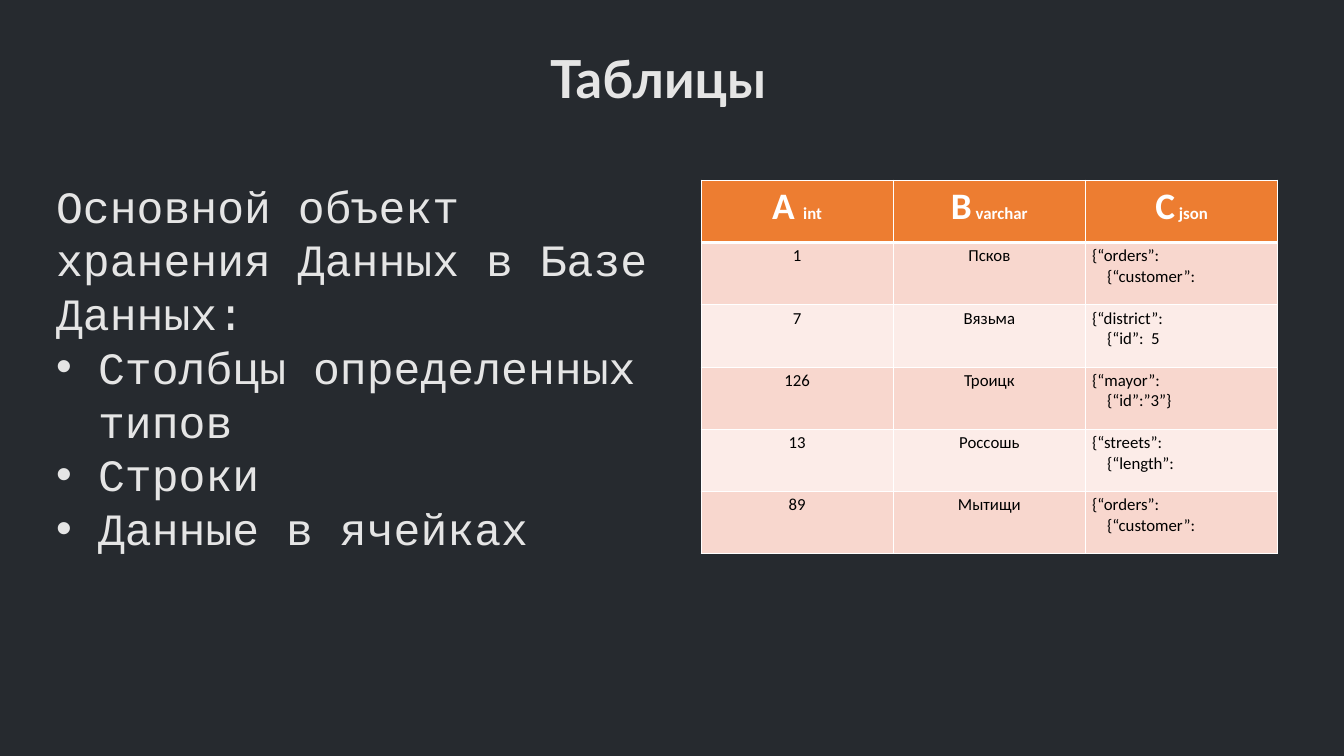
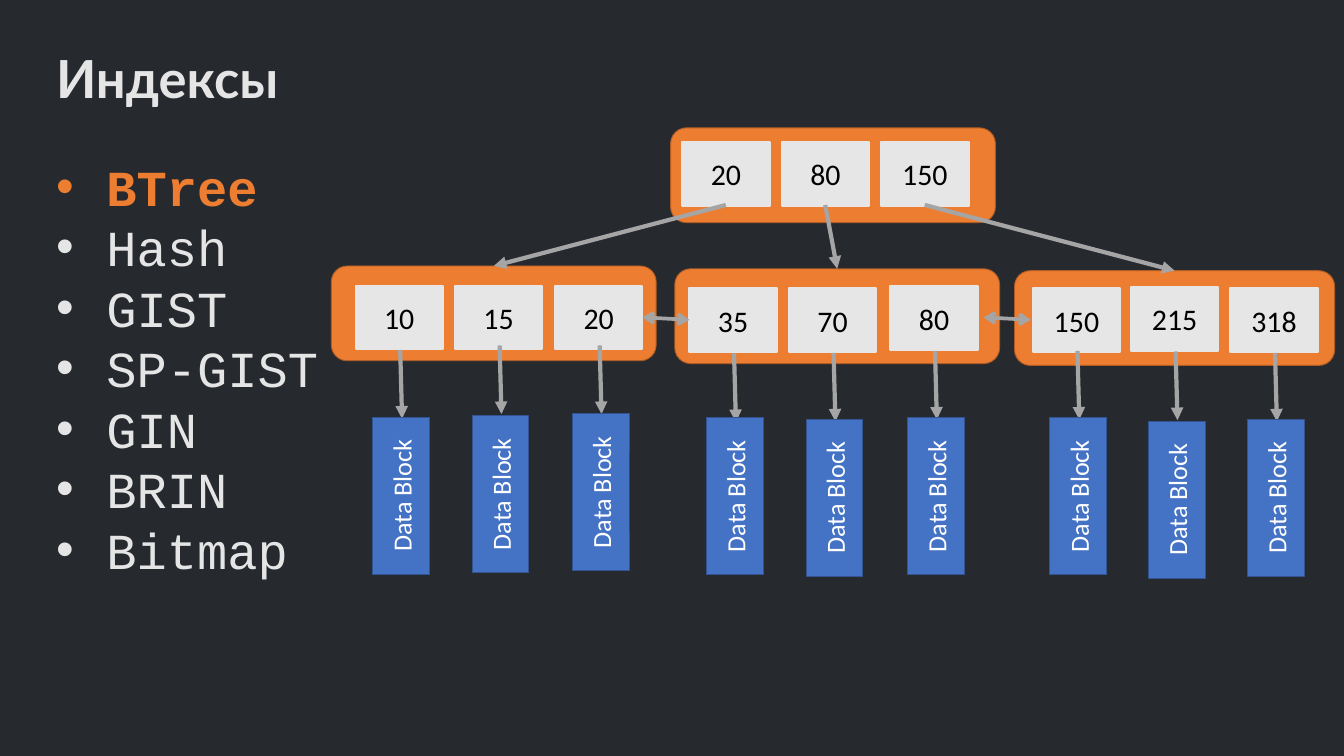
from lxml import etree
from pptx import Presentation
from pptx import util as u
from pptx.dml.color import RGBColor
from pptx.enum import shapes, text
from pptx.oxml.ns import qn

BACK, PALE, ORANGE, RUST = "262A2F", "E5E5E5", "ED7D31", "AF5C24"
KEY, GRAY, BLUE, NAVY = "E7E6E6", "A5A5A5", "4472C4", "325491"
WHITE, BLACK, BANDS = "FFFFFF", "000000", ("F8D7CE", "FCECE8")
LEFT, MID = text.PP_ALIGN.LEFT, text.PP_ALIGN.CENTER
RECT, ROUND = shapes.MSO_SHAPE.RECTANGLE, shapes.MSO_SHAPE.ROUNDED_RECTANGLE
KEY_W, KEY_H, PITCH = 93.6, 68.4, 106.6

HEADS = [("A ", "int"), ("B", " varchar"), ("C", " json")]
ROWS = [
    ("1", "Псков", "{“orders”:", "{“customer”:"),
    ("7", "Вязьма", "{“district”:", "{“id”:  5"),
    ("126", "Троицк", "{“mayor”:", "{“id”:”3”}"),
    ("13", "Россошь", "{“streets”:", "{“length”:"),
    ("89", "Мытищи", "{“orders”:", "{“customer”:"),
]
NODES = [(718.5, 137, 348), (355, 285, 348), (723, 288, 348), (1087, 290, 343)]
ROOT = ["20", "80", "150"]
LEAVES = [
    ("10", 381, 306, 375, 531), ("15", 487.5, 306, 370, 529.5),
    ("20", 594.7, 306, 370, 527.4), ("35", 738.7, 309, 378.7, 531.7),
    ("70", 845.3, 309, 378, 533.2), ("80", 954, 306.7, 376, 531.7),
    ("150", 1106.6, 309, 376, 531.7), ("215", 1211.8, 307.4, 376.6, 535.3),
    ("318", 1318.3, 309, 378, 533.2),
]


def style(item, **fmt):
    """Set each format value on an item."""
    for name, value in fmt.items():
        setattr(item, name, value)


def paint(target, tone):
    """Give a fill or a line a solid colour."""
    fill = getattr(target, "fill", target)
    fill.solid()
    fill.fore_color.rgb = RGBColor.from_string(tone)


def place(item, *box):
    """Move an item to a box in points."""
    style(item, **dict(zip(("left", "top", "width", "height"), map(u.Pt, box))))


def write(par, words, size, tone, font="Calibri", bold=False):
    """Add a run to a paragraph."""
    run = par.add_run()
    run.text = words
    style(run.font, size=u.Pt(size), name=font, bold=bold)
    paint(run.font, tone)


def child(parent, tag, **attrs):
    """Append a drawing element."""
    return etree.SubElement(parent, qn("a:" + tag), attrs)


def indent(par, left, hang=0):
    """Set the indents of a paragraph in points."""
    props = par._p.get_or_add_pPr()
    props.set("marL", str(u.Pt(left)))
    props.set("indent", str(u.Pt(hang)))
    return props


def bare(frame):
    """Clear margins and fitting of a placeholder."""
    style(frame, word_wrap=True, auto_size=text.MSO_AUTO_SIZE.NONE,
          vertical_anchor=text.MSO_ANCHOR.TOP, margin_left=0,
          margin_right=0, margin_top=0, margin_bottom=0)


def page(prs, title, align):
    """Add a slide with its title."""
    slide = prs.slides.add_slide(prs.slide_layouts[1])
    head = slide.shapes.title
    place(head, 60, 61, 1290, 142)
    bare(head.text_frame)
    par = head.text_frame.paragraphs[0]
    style(par, alignment=align, line_spacing=u.Pt(56.3), space_before=0)
    write(par, title, 56.2, PALE, "Lato", True)
    return slide


def body(slide, box, items, size, hang, lead=None, strong=None):
    """Fill the body with an optional lead and bullets."""
    shape = slide.placeholders[1]
    place(shape, *box)
    frame = shape.text_frame
    bare(frame)
    lines = ([lead] if lead else []) + items
    for i, line in enumerate(lines):
        par = frame.add_paragraph() if i else frame.paragraphs[0]
        style(par, alignment=LEFT, line_spacing=u.Pt(size * 1.2),
              space_before=0, space_after=0)
        if line == lead:
            child(indent(par, 0), "buNone")
        else:
            props = indent(par, hang, -hang)
            child(props, "buFont", typeface="Arial")
            child(props, "buChar", char="•")
        hot = line == strong
        write(par, line, size, ORANGE if hot else PALE, "Courier New", hot)


def edge(cell, low):
    """Draw white borders around a cell."""
    props = cell._tc.get_or_add_tcPr()
    for side, wide in zip("LRTB", (1, 1, 1, low)):
        line = child(props, "ln" + side, w=str(u.Pt(wide)))
        child(child(line, "solidFill"), "srgbClr", val=WHITE)


def grid(slide):
    """Add the sample table."""
    box = map(u.Pt, (751, 193, 618, 400.5))
    table = slide.shapes.add_table(len(ROWS) + 1, 3, *box).table
    for col, (name, kind) in enumerate(HEADS):
        cell = table.cell(0, col)
        edge(cell, 3)
        paint(cell, ORANGE)
        par = cell.text_frame.paragraphs[0]
        par.alignment = MID
        write(par, name, 40, WHITE, bold=True)
        write(par, kind, 18, WHITE, bold=True)
    for row, (num, town, top, sub) in enumerate(ROWS):
        for col, words in enumerate((num, town, top)):
            cell = table.cell(row + 1, col)
            edge(cell, 1)
            paint(cell, BANDS[row % 2])
            par = cell.text_frame.paragraphs[0]
            par.alignment = LEFT if col == 2 else MID
            write(par, words, 18, BLACK)
        par = cell.text_frame.add_paragraph()
        indent(par, 16)
        write(par, sub, 18, BLACK)


def block(slide, kind, box, fill, line, wide, words="", size=32, tone=BLACK):
    """Add a filled shape with centred text."""
    shape = slide.shapes.add_shape(kind, *map(u.Pt, box))
    shape.shadow.inherit = False
    paint(shape, fill)
    paint(shape.line, line)
    shape.line.width = u.Pt(wide)
    if words:
        frame = shape.text_frame
        style(frame, word_wrap=True, vertical_anchor=text.MSO_ANCHOR.MIDDLE)
        frame.paragraphs[0].alignment = MID
        write(frame.paragraphs[0], words, size, tone)
    return shape


def key(slide, words, left, top):
    """Add a key of the tree."""
    block(slide, RECT, (left, top, KEY_W, KEY_H), KEY, KEY, 2.25, words)


def link(slide, ends, wide=4.5, **tips):
    """Add an arrow between two points."""
    line = slide.shapes.add_connector(shapes.MSO_CONNECTOR.STRAIGHT, *map(u.Pt, ends))
    paint(line.line, GRAY)
    line.line.width = u.Pt(wide)
    for tip, kind in (tips or {"tailEnd": "triangle"}).items():
        child(line.line._get_or_add_ln(), tip, type=kind)
    child(line._element.spPr, "effectLst")


def tree(slide):
    """Draw the index tree."""
    for left, top, wide in NODES:
        block(slide, ROUND, (left, top, wide, 101.5), ORANGE, RUST, 1)
    for i, words in enumerate(ROOT):
        key(slide, words, 731 + i * PITCH, 152)
    for words, left, top, *_ in LEAVES:
        key(slide, words, left, top)
    for i, (left, top, wide) in enumerate(NODES[1:]):
        link(slide, (777.6 + i * PITCH, 219.6, left + wide / 2, top))
    for left in (688.3, 1054):
        link(slide, (left, 340, left + 50.4, 342.7), 4,
             headEnd="arrow", tailEnd="arrow")
    for _, left, _, top, mid in LEAVES:
        stem = left + KEY_W / 2 + 1
        link(slide, (stem, top, stem + 2, top + 73.6))
        data = block(slide, RECT, (stem - 83, mid - 30.5, 168, 61),
                     BLUE, NAVY, 1, "Data Block", 28, WHITE)
        data.rotation = 270


def main():
    """Build both slides."""
    prs = Presentation()
    style(prs, slide_width=u.Pt(1440), slide_height=u.Pt(810))
    paint(prs.slide_master.background, BACK)
    slide = page(prs, "Таблицы", MID)
    body(slide, (60, 191, 660, 343.5),
         ["Столбцы определенных типов", "Строки", "Данные в ячейках"],
         48, 45, lead="Основной объект хранения Данных в Базе Данных:")
    grid(slide)
    slide = page(prs, "Индексы", LEFT)
    body(slide, (60, 167, 1290, 283.5),
         ["BTree", "Hash", "GIST", "SP-GIST", "GIN", "BRIN", "Bitmap"],
         54, 54, strong="BTree")
    tree(slide)
    prs.save("out.pptx")


main()
